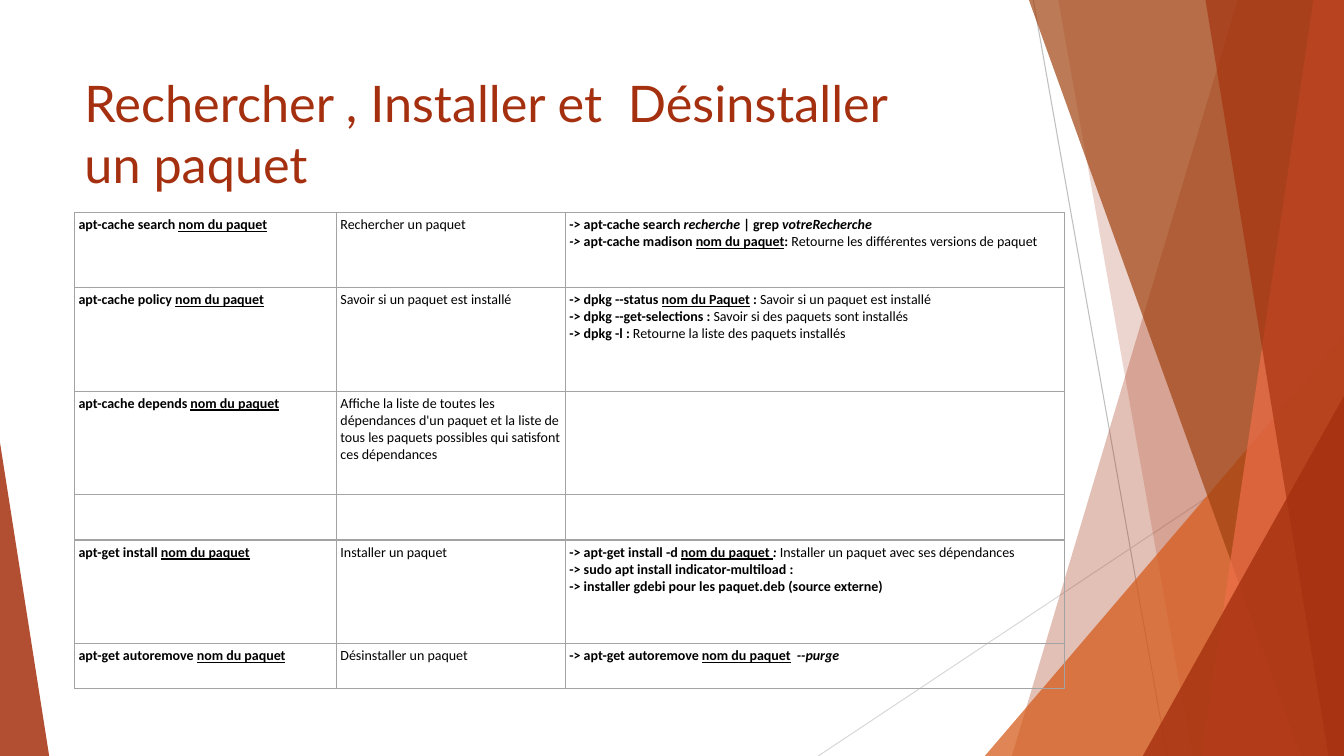
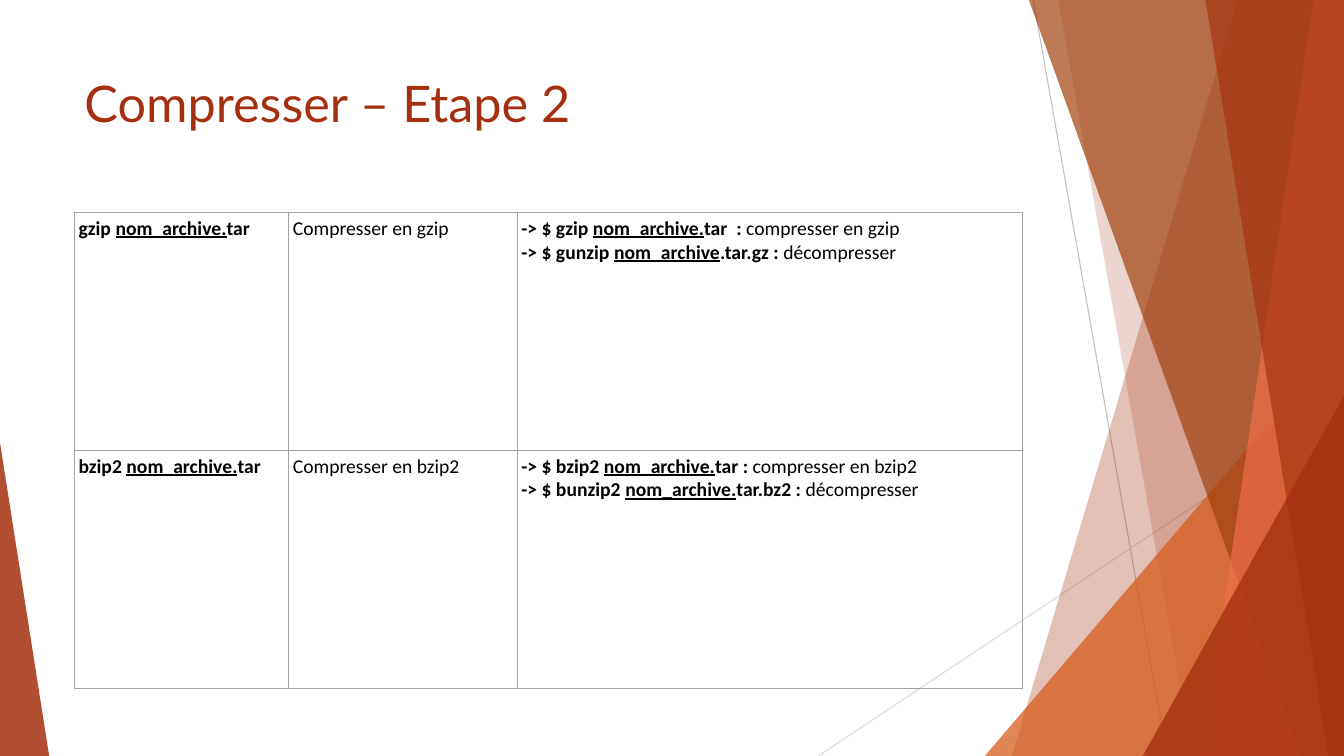
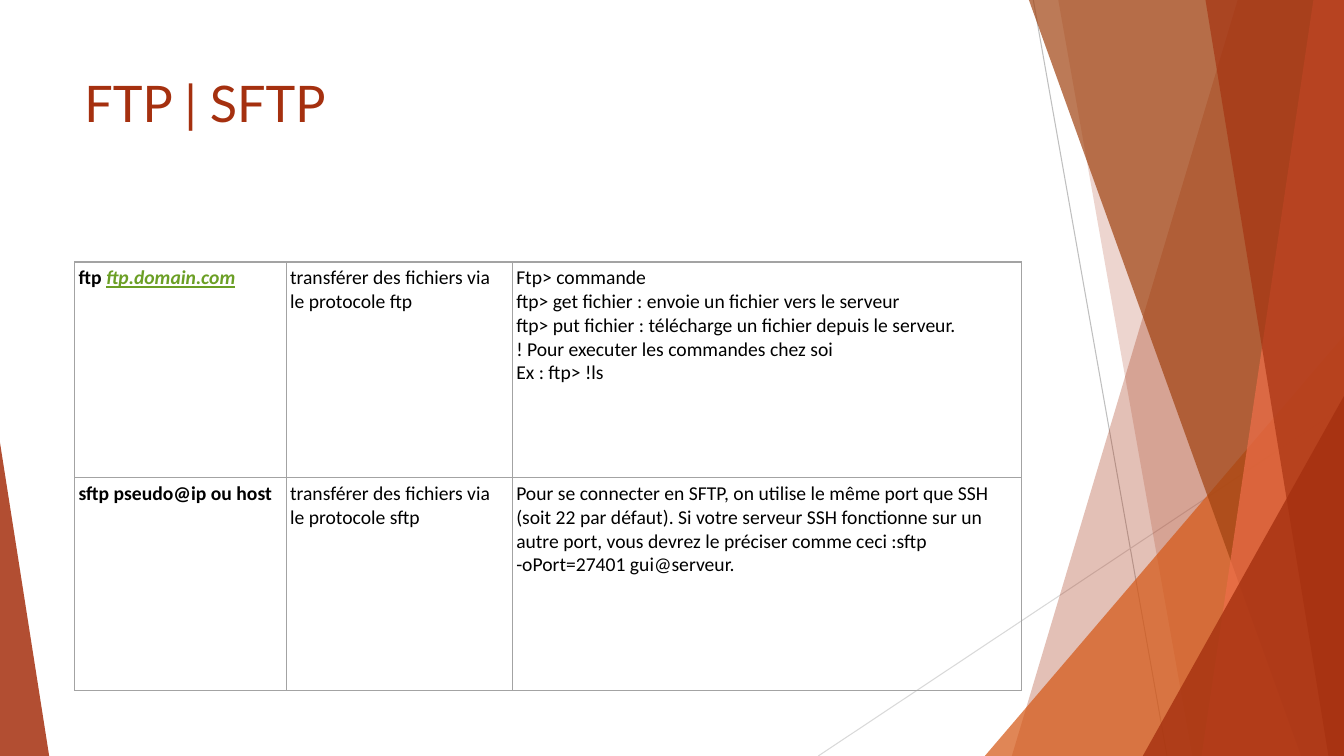
from dataclasses import dataclass

from lxml.etree import SubElement
from pptx import Presentation
from pptx.dml.color import RGBColor as RGB
from pptx.enum.shapes import MSO_CONNECTOR as CONN, MSO_SHAPE as SHAPE
from pptx.enum.text import MSO_ANCHOR as ANCHOR
from pptx.oxml.ns import qn
from pptx.util import Cm, Pt


@dataclass(frozen=True)
class Theme:
    rust: str = "A5300F"
    orange: str = "D55816"
    brown: str = "A04210"
    coral: str = "EE6E4A"
    ink: str = "000000"
    link: str = "6B9F25"
    border: str = "A3A3A3"
    grey: str = "BFBFBF"
    pale: str = "D9D9D9"
    title_font: str = "Lato"
    body_font: str = "Calibri"
    title_size: int = 36
    body_size: int = 14
    small_size: int = 10
    border_width: int = 1
    hairline: float = 0.75


@dataclass(frozen=True)
class Box:
    x: float
    y: float
    w: float
    h: float


T = Theme()
PAGE = Box(0, 0, 33.87, 19.05)
TITLE = Box(1.88, 1.7, 23.88, 3.66)
TABLE_TOP = 5.36
INSET = 0.1

STYLES = {
    "plain": {},
    "b": {"bold": True},
    "bu": {"bold": True, "underline": True},
    "bi": {"bold": True, "italic": True},
    "link": {"italic": True, "underline": True, "bold": True},
}
PACKAGE = ("nom du paquet", "bu")
ARCHIVE = ("nom_archive.", "bu")


def set_attrs(obj, values):
    for name, value in values.items():
        setattr(obj, name, value)


def set_font(font, name, size, color, **extra):
    set_attrs(font, {"name": name, "size": Pt(size), **extra})
    font.color.rgb = RGB.from_string(color)


def set_insets(obj, **margins):
    set_attrs(obj, {f"margin_{k}": Cm(v) for k, v in margins.items()})


def paint(sp, color, opacity):
    sp.shadow.inherit = False
    sp.line.fill.background()
    sp.fill.solid()
    sp.fill.fore_color.rgb = RGB.from_string(color)
    clr = sp.element.spPr.find(f".//{qn('a:srgbClr')}")
    SubElement(clr, qn("a:alpha"), val=str(opacity * 1000))


def add_line(shapes, box, start, end, color):
    ends = [Cm(v) for x, y in (start, end) for v in (box.x + x, box.y + y)]
    line = shapes.add_connector(CONN.STRAIGHT, *ends)
    line.line.color.rgb = RGB.from_string(color)
    line.line.width = Pt(T.hairline)
    SubElement(line.element.spPr, qn("a:effectLst"))


def add_band(shapes, box, top, bottom, color, opacity):
    right, base = Cm(box.x + box.w), Cm(box.y + box.h)
    ff = shapes.build_freeform(Cm(box.x + top), Cm(box.y))
    ff.add_line_segments([(right, Cm(box.y)), (right, base),
                          (Cm(box.x + bottom), base)])
    paint(ff.convert_to_shape(), color, opacity)


def add_corner(shapes, box, left, right, top, apex, color, opacity):
    sp = shapes.add_shape(SHAPE.ISOSCELES_TRIANGLE, Cm(box.x + left),
                          Cm(box.y + top), Cm(right - left), Cm(box.h - top))
    sp.adjustments[0] = apex
    paint(sp, color, opacity)


def add_scenery(shapes, box):
    add_line(shapes, box, (26.04, 0), (29.41, box.h), T.grey)
    add_line(shapes, box, (box.w, 10.24), (20.62, box.h), T.pale)
    add_band(shapes, box, 31.19, 25.5, T.rust, 30)
    add_band(shapes, box, 26.67, 30.05, T.rust, 20)
    add_corner(shapes, box, 24.82, box.w, 8.46, 1, T.orange, 72)
    add_band(shapes, box, 25.93, 32.79, T.brown, 70)
    add_band(shapes, box, 33.1, 30.28, T.coral, 70)
    add_band(shapes, box, 30.38, 33.48, T.rust, 65)
    add_corner(shapes, box, 28.8, box.w, 9.98, 1, T.rust, 80)
    add_corner(shapes, box, 0, 1.24, 11.15, 0, T.rust, 85)


def share_scenery(slide):
    layout = slide.slide_layout
    for ph in list(layout.placeholders):
        layout.shapes.element.remove(ph.element)
    add_scenery(slide.shapes, PAGE)
    for sp in list(slide.shapes):
        layout.shapes.element.append(sp.element)


def add_title(shapes, box, text):
    tb = shapes.add_textbox(Cm(box.x), Cm(box.y), Cm(box.w), Cm(box.h))
    tf = tb.text_frame
    set_attrs(tf, {"word_wrap": True, "vertical_anchor": ANCHOR.TOP})
    p = tf.paragraphs[0]
    p.text = text
    for r in p.runs:
        set_font(r.font, T.title_font, T.title_size, T.rust)


def add_borders(cell):
    tc_pr = cell._tc.get_or_add_tcPr()
    for side in ("lnL", "lnR", "lnT", "lnB"):
        ln = SubElement(tc_pr, qn(f"a:{side}"), w=str(Pt(T.border_width)))
        fill = SubElement(ln, qn("a:solidFill"))
        SubElement(fill, qn("a:srgbClr"), val=T.border)


def fill_cell(cell, paragraphs, size):
    set_insets(cell, left=INSET, right=INSET, top=INSET, bottom=INSET)
    add_borders(cell)
    cell.fill.background()
    tf = cell.text_frame
    for i, runs in enumerate(paragraphs):
        p = tf.add_paragraph() if i else tf.paragraphs[0]
        for text, style in runs:
            r = p.add_run()
            r.text = text
            color = T.link if style == "link" else T.ink
            set_font(r.font, T.body_font, size, color,
                     **{"bold": False, **STYLES[style]})


def add_grid(shapes, x, y, widths, heights, rows, size):
    frame = shapes.add_table(len(heights), len(widths), Cm(x), Cm(y),
                             Cm(sum(widths)), Cm(sum(heights)))
    table = frame.table
    set_attrs(table, {"first_row": False, "horz_banding": False})
    for col, w in zip(table.columns, widths):
        col.width = Cm(w)
    for row, h, texts in zip(table.rows, heights, rows):
        row.height = Cm(h)
        for cell, paragraphs in zip(row.cells, texts):
            fill_cell(cell, paragraphs, size)


def plain(*lines):
    return [[(line, "plain")] for line in lines]


def command(text, *rest):
    return [(text, "b"), *rest]


def note(text, meaning):
    return [(text, "b"), (meaning, "plain")]


def compress_row(tool, undo, stem, gap, ending):
    return [
        [command(f"{tool} ", ARCHIVE, ("tar", "b"))],
        plain(f"Compresser en {tool}"),
        [command(f"-> $ {tool} ", ARCHIVE, (f"tar{gap}: ", "b"),
                 (f"compresser en {tool}", "plain")),
         command(f"-> $ {undo} ", (stem, "bu"), (f"{ending} : ", "b"),
                 ("décompresser", "plain"))],
    ]


PACKAGE_ROWS = [
    [[command("apt-cache search ", PACKAGE)],
     plain("Rechercher un paquet"),
     [command("-> apt-cache search ", ("recherche", "bi"), (" | grep ", "b"),
              ("votreRecherche", "bi")),
      [("-> ", "bi"), ("apt-cache madison ", "b"), PACKAGE, (":", "b"),
       (" Retourne les différentes versions de paquet", "plain")]]],
    [[command("apt-cache policy ", PACKAGE)],
     plain("Savoir si un paquet est installé"),
     [command("-> dpkg --status ", ("nom du Paquet", "bu"), (" : ", "b"),
              ("Savoir si un paquet est installé", "plain")),
      note("-> dpkg --get-selections : ",
           "Savoir si des paquets sont installés"),
      note("-> dpkg -l : ", "Retourne la liste des paquets installés")]],
    [[command("apt-cache depends ", PACKAGE)],
     plain("Affiche la liste de toutes les dépendances d'un paquet et la "
           "liste de tous les paquets possibles qui satisfont ces "
           "dépendances"),
     []],
    [[], [], []],
    [[command("apt-get install ", PACKAGE)],
     plain("Installer un paquet"),
     [command("-> apt-get install -d ", ("nom du paquet ", "bu"),
              (": ", "bi"),
              ("Installer un paquet avec ses dépendances", "plain")),
      command("-> sudo apt install indicator-multiload :"),
      command("-> installer gdebi pour les paquet.deb (source externe)")]],
    [[command("apt-get autoremove ", PACKAGE)],
     plain("Désinstaller un paquet"),
     [command("-> apt-get autoremove ", PACKAGE, ("  --purge", "bi"))]],
]

COMPRESS_ROWS = [
    compress_row("gzip", "gunzip", "nom_archive", "  ", ".tar.gz"),
    compress_row("bzip2", "bunzip2", "nom_archive.", " ", "tar.bz2"),
]

TRANSFER_ROWS = [
    [[command("ftp ", ("ftp.domain.com", "link"))],
     plain("transférer des fichiers via le protocole ftp"),
     plain("Ftp> commande",
           "ftp> get fichier : envoie un fichier vers le serveur",
           "ftp> put fichier : télécharge un fichier depuis le serveur.",
           "! Pour executer les commandes chez soi",
           "Ex : ftp> !ls")],
    [[command("sftp pseudo@ip ou host")],
     plain("transférer des fichiers via le protocole sftp"),
     plain("Pour se connecter en SFTP, on utilise le même port que SSH "
           "(soit 22 par défaut). Si votre serveur SSH fonctionne sur un "
           "autre port, vous devrez le préciser comme ceci :sftp "
           "-oPort=27401 gui@serveur.")],
]

SLIDES = [
    ("Rechercher , Installer et  Désinstaller\vun paquet", TABLE_TOP,
     (6.6, 5.77, 12.57), (1.89, 2.61, 2.61, 1.14, 2.61, 1.14),
     PACKAGE_ROWS, T.small_size),
    ("Compresser – Etape 2", TABLE_TOP,
     (5.4, 5.76, 12.72), (5.99, 5.99), COMPRESS_ROWS, T.body_size),
    ("FTP | SFTP", 6.6,
     (5.33, 5.7, 12.84), (5.44, 5.36), TRANSFER_ROWS, T.body_size),
]


def main():
    prs = Presentation()
    set_attrs(prs, {"slide_width": Cm(PAGE.w), "slide_height": Cm(PAGE.h)})
    blank = prs.slide_layouts[6]
    for i, (title, top, widths, heights, rows, size) in enumerate(SLIDES):
        s = prs.slides.add_slide(blank)
        if i == 0:
            share_scenery(s)
        add_title(s.shapes, TITLE, title)
        add_grid(s.shapes, TITLE.x, top, widths, heights, rows, size)
    prs.save("out.pptx")


if __name__ == "__main__":
    main()
